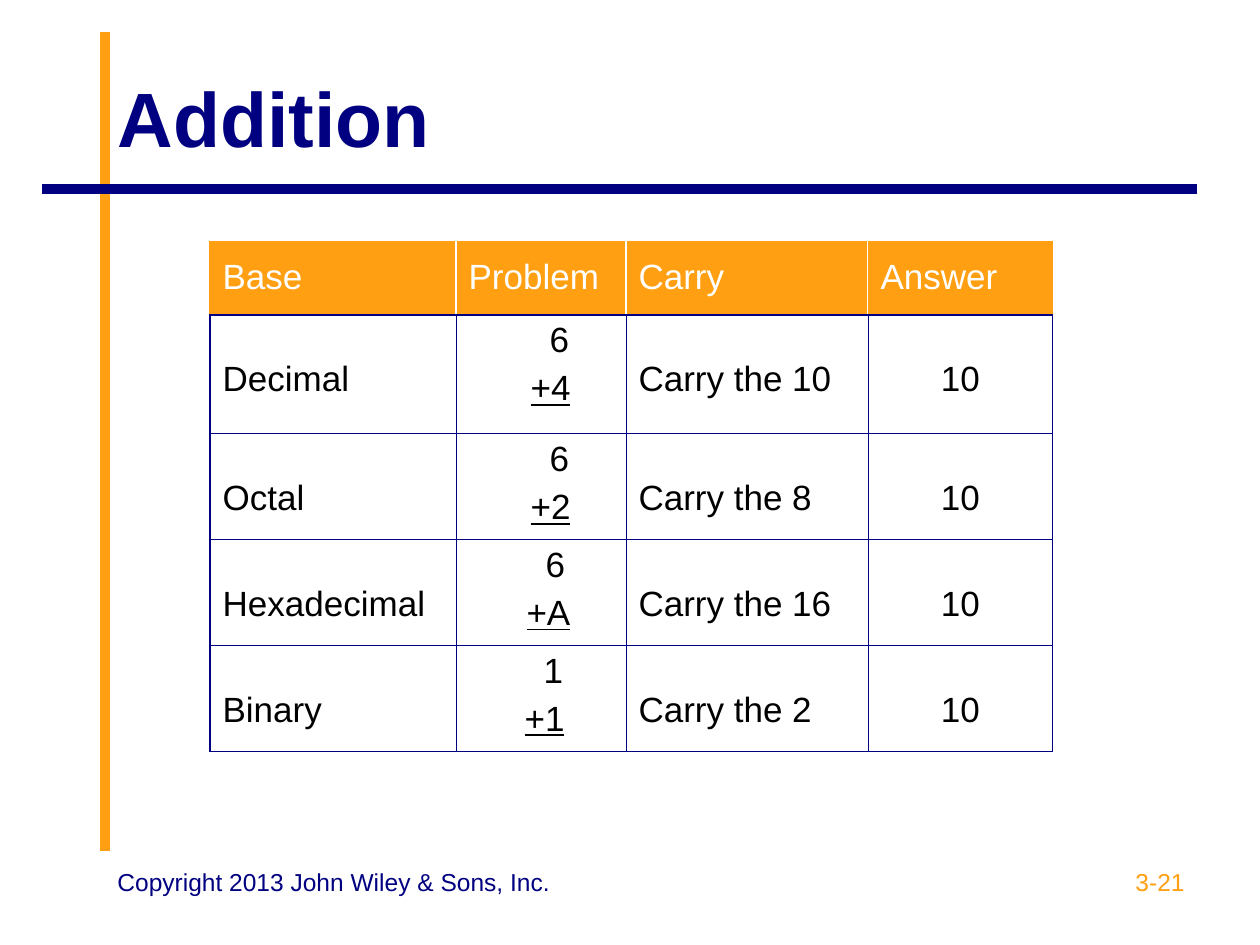
from lxml.etree import SubElement
from pptx import Presentation
from pptx.dml.color import RGBColor
from pptx.enum.shapes import MSO_CONNECTOR as Connector
from pptx.enum.text import MSO_ANCHOR as Anchor, PP_ALIGN as Align
from pptx.oxml.ns import qn
from pptx.util import Pt

SCALE = 914400 / 126
COLORS = {"navy": "000080", "orange": "FF9F11", "white": "FFFFFF", "black": "000000"}
COLUMNS = [246, 170, 242, 185]
ROWS = [73, 119, 106, 106, 106]
HEADERS = ["Base", "Problem", "Carry", "Answer"]
SUMS = [
    ("Decimal", "6", "+4", 62, "Carry the 10", "10"),
    ("Octal", "6", "+2", 62, "Carry the 8", "10"),
    ("Hexadecimal", "6", "+A", 58, "Carry the 16", "10"),
    ("Binary", "1", "+1", 56, "Carry the 2", "10"),
]
TOP_DIGIT_SHIFT = 19


def px(n):
    """Turn whole pixels into EMU."""
    return round(n * SCALE)


def rgb(name):
    """Look up a named colour."""
    return RGBColor.from_string(COLORS[name])


def style(p, size, color, align=Align.LEFT, bold=False, underline=False):
    """Format a paragraph and its runs."""
    p.alignment = align
    for r in p.runs:
        r.font.name = "Arial"
        r.font.size = Pt(size)
        r.font.color.rgb = rgb(color)
        r.font.bold = bold
        r.font.underline = underline


def add_rule(s, x1, y1, x2, y2, color):
    """Draw one of the thick crossing lines."""
    line = s.shapes.add_connector(Connector.STRAIGHT, px(x1), px(y1), px(x2), px(y2))
    line.line.color.rgb = rgb(color)
    line.line.width = Pt(5.5)
    SubElement(line._element.spPr, qn("a:effectLst"))


def set_title(s, text):
    """Place and format the title."""
    sp = s.shapes.title
    sp.left, sp.top, sp.width, sp.height = px(105), px(38), px(1092), px(158)
    tf = sp.text_frame
    tf.text = text
    tf.vertical_anchor = Anchor.MIDDLE
    style(tf.paragraphs[0], 44, "navy", bold=True)


def add_footer(s, x, w, text, color, align):
    """Add a footer text box."""
    tf = s.shapes.add_textbox(px(x), px(861), px(w), px(66)).text_frame
    tf.word_wrap = True
    tf.text = text
    style(tf.paragraphs[0], 14, color, align)


def set_borders(cell, **edges):
    """Draw cell edges given as colour and width pairs, in schema order."""
    tc_pr = cell._tc.get_or_add_tcPr()
    for side in ("L", "R", "T", "B"):
        color, width = edges[side]
        ln = SubElement(tc_pr, qn(f"a:ln{side}"), w=str(Pt(width)))
        fill = SubElement(ln, qn("a:solidFill"))
        SubElement(fill, qn("a:srgbClr"), val=COLORS[color])


def fill_header(cell, text, first, last):
    """Format one header cell."""
    outer, inner = ("orange", 0.75), ("white", 0.75)
    set_borders(cell, L=outer if first else inner, R=outer if last else inner,
                T=outer, B=("navy", 0.75))
    cell.fill.solid()
    cell.fill.fore_color.rgb = rgb("orange")
    cell.text = text
    p = cell.text_frame.paragraphs[0]
    p.line_spacing = 1.25
    style(p, 20, "white")


def format_body(cell, first, last):
    """Give a body cell its edges and no fill."""
    outer, inner = ("navy", 0.75), ("navy", 0.45)
    set_borders(cell, L=outer if first else inner, R=outer if last else inner,
                T=outer, B=outer)
    cell.fill.background()


def fill_word(cell, text, align):
    """Write a single line lowered by double spacing."""
    cell.text = text
    p = cell.text_frame.paragraphs[0]
    p.line_spacing = 2.0
    style(p, 20, "black", align)


def fill_problem(cell, top, bottom, indent):
    """Write a sum as two indented lines, the lower one underlined."""
    cell.text = f"{top}\n{bottom}"
    upper, lower = cell.text_frame.paragraphs
    style(upper, 20, "black")
    style(lower, 20, "black", underline=True)
    lower.space_before = Pt(5)
    for p, margin in ((upper, indent + TOP_DIGIT_SHIFT), (lower, indent)):
        p._p.get_or_add_pPr().set("marL", str(px(margin)))


def add_sums_table(s):
    """Add the table of sums in four bases."""
    frame = s.shapes.add_table(len(ROWS), len(COLUMNS), px(210), px(242),
                               px(sum(COLUMNS)), px(sum(ROWS)))
    table = frame.table
    table.first_row = table.horz_banding = False
    for column, width in zip(table.columns, COLUMNS):
        column.width = px(width)
    for row, height in zip(table.rows, ROWS):
        row.height = px(height)
    last = len(COLUMNS) - 1
    for c, text in enumerate(HEADERS):
        fill_header(table.cell(0, c), text, c == 0, c == last)
    for i, (base, top, bottom, indent, carry, answer) in enumerate(SUMS, 1):
        cells = [table.cell(i, c) for c in range(len(COLUMNS))]
        for c, cell in enumerate(cells):
            format_body(cell, c == 0, c == last)
        fill_word(cells[0], base, Align.LEFT)
        fill_problem(cells[1], top, bottom, indent)
        fill_word(cells[2], carry, Align.LEFT)
        fill_word(cells[3], answer, Align.CENTER)


def main():
    """Build and save the slide."""
    prs = Presentation()
    prs.slide_width, prs.slide_height = px(1260), px(945)
    s = prs.slides.add_slide(prs.slide_layouts[5])
    add_rule(s, 105, 851, 105, 32, "orange")
    add_rule(s, 1197, 189, 42, 189, "navy")
    set_title(s, "Addition")
    add_sums_table(s)
    add_footer(s, 903, 294, "3-21", "orange", Align.RIGHT)
    add_footer(s, 105, 462, "Copyright 2013 John Wiley & Sons, Inc.", "navy", Align.LEFT)
    prs.save("out.pptx")


if __name__ == "__main__":
    main()
